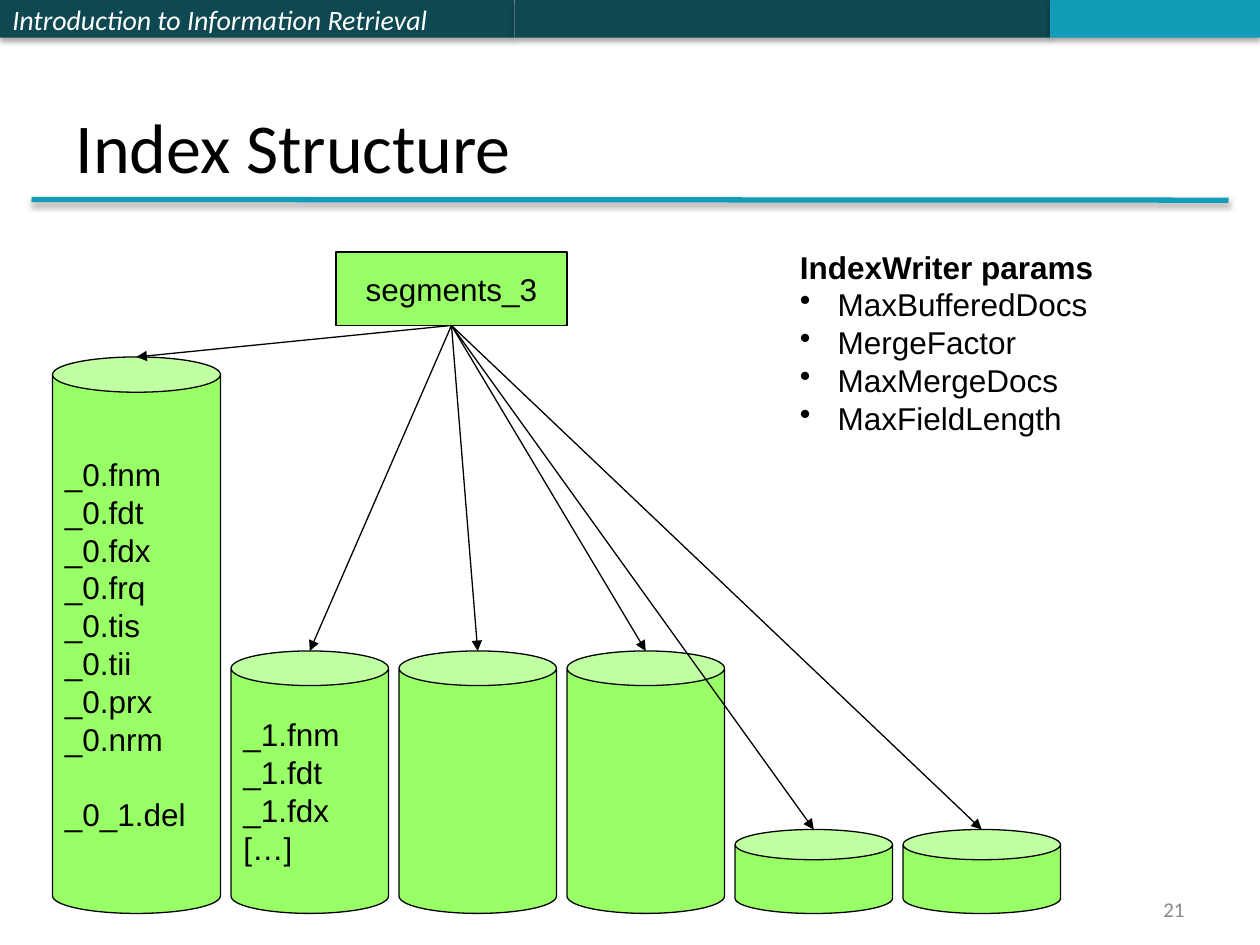
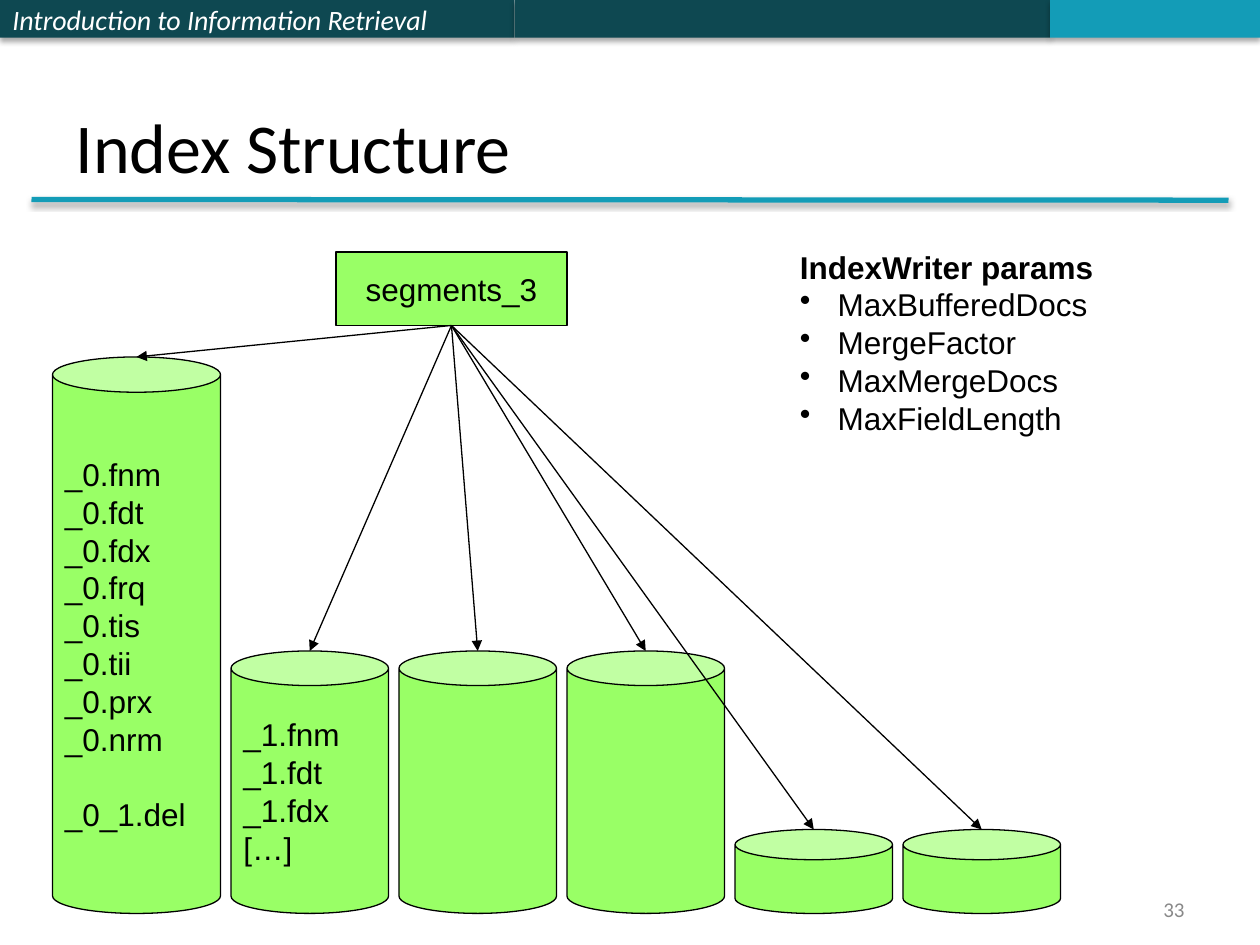
from lxml import etree
from pptx import Presentation
from pptx.dml.color import RGBColor
from pptx.enum import shapes, text
from pptx.oxml import ns
from pptx.util import Pt

BLACK = RGBColor(0x00, 0x00, 0x00)
WHITE = RGBColor(0xFF, 0xFF, 0xFF)
GREY = RGBColor(0x89, 0x89, 0x89)
DARK_TEAL = RGBColor(0x0E, 0x48, 0x51)
TEAL = RGBColor(0x13, 0x9C, 0xB7)
GREEN = RGBColor(0x99, 0xFF, 0x66)

COURSE = "Introduction to Information Retrieval"
BANDS = [(0, 294, DARK_TEAL, COURSE), (294, 306, DARK_TEAL, ""), (600, 120, TEAL, "")]
FIRST_FILES = ["_0.fnm", "_0.fdt", "_0.fdx", "_0.frq", "_0.tis", "_0.tii",
               "_0.prx", "_0.nrm", "_0_1.del"]
SECOND_FILES = ["_1.fnm", "_1.fdt", "_1.fdx", "[…]"]
SEGMENTS = [(30, 204, 96, 0.21, FIRST_FILES), (132, 372, 90, 0.22, SECOND_FILES),
            (228, 372, 90, 0.22, []), (324, 372, 90, 0.22, []),
            (420, 474, 90, 0.36, []), (516, 474, 90, 0.36, [])]
SEGMENT_BOTTOM = 522
PARAMS = ["IndexWriter params", "MaxBufferedDocs", "MergeFactor", "MaxMergeDocs",
          "MaxFieldLength"]
LINE_HEIGHT = Pt(21.6)


def write(shape, lines, name, size, color, align=text.PP_ALIGN.LEFT):
    shape.text_frame.text = "\n".join(lines)
    for paragraph in shape.text_frame.paragraphs:
        paragraph.alignment = align
        paragraph.font.name = name
        paragraph.font.size = Pt(size)
        paragraph.font.color.rgb = color
        if name == "Arial":
            paragraph.line_spacing = LINE_HEIGHT
    return shape.text_frame


def set_shadow(shape, alpha=0):
    properties = shape._element.spPr
    for effects in properties.findall(ns.qn("a:effectLst")):
        properties.remove(effects)
    effects = etree.SubElement(properties, ns.qn("a:effectLst"))
    if alpha:
        shadow = etree.SubElement(effects, ns.qn("a:outerShdw"), blurRad=str(Pt(3.1)),
                                  dist=str(Pt(1.8)), dir="5400000", rotWithShape="0")
        color = etree.SubElement(shadow, ns.qn("a:srgbClr"), val=str(BLACK))
        etree.SubElement(color, ns.qn("a:alpha"), val=str(alpha * 1000))


presentation = Presentation()
presentation.slide_width = Pt(720)
presentation.slide_height = Pt(540)

for page in (21, 33):
    slide = presentation.slides.add_slide(presentation.slide_layouts[5])

    for left, width, color, label in BANDS:
        band = slide.shapes.add_shape(shapes.MSO_SHAPE.RECTANGLE, Pt(left), 0, Pt(width), Pt(21.6))
        band.fill.solid()
        band.fill.fore_color.rgb = color
        band.line.fill.background()
        set_shadow(band, 35)
        if label:
            frame = write(band, [label], "Calibri", 16, WHITE)
            frame.margin_top = frame.margin_bottom = 0
            frame.vertical_anchor = text.MSO_ANCHOR.MIDDLE
            frame.paragraphs[0].font.italic = True

    rule = slide.shapes.add_connector(shapes.MSO_CONNECTOR.STRAIGHT,
                                      Pt(18), Pt(114), Pt(702), Pt(114.4))
    rule.line.color.rgb = TEAL
    rule.line.width = Pt(3)
    set_shadow(rule, 38)

    title = slide.shapes.title
    title.left, title.top, title.width, title.height = Pt(36), Pt(55.4), Pt(648), Pt(55.4)
    frame = write(title, ["Index Structure"], "Calibri", 40, BLACK)
    frame.vertical_anchor = text.MSO_ANCHOR.BOTTOM

    for left, top, width, depth, files in SEGMENTS:
        segment = slide.shapes.add_shape(shapes.MSO_SHAPE.CAN, Pt(left), Pt(top), Pt(width),
                                         Pt(SEGMENT_BOTTOM - top))
        segment.adjustments[0] = depth
        segment.fill.solid()
        segment.fill.fore_color.rgb = GREEN
        segment.line.color.rgb = BLACK
        segment.line.width = Pt(0.75)
        set_shadow(segment)
        if files:
            frame = write(segment, files, "Arial", 18, BLACK)
            frame.word_wrap = False
            frame.vertical_anchor = text.MSO_ANCHOR.MIDDLE
        if files is FIRST_FILES:
            frame.paragraphs[-1].space_before = LINE_HEIGHT

    root = slide.shapes.add_shape(shapes.MSO_SHAPE.RECTANGLE, Pt(192), Pt(144), Pt(132), Pt(42))
    root.fill.solid()
    root.fill.fore_color.rgb = GREEN
    root.line.color.rgb = BLACK
    root.line.width = Pt(0.75)
    set_shadow(root)
    frame = write(root, ["segments_3"], "Arial", 18, BLACK, text.PP_ALIGN.CENTER)
    frame.word_wrap = False
    frame.vertical_anchor = text.MSO_ANCHOR.MIDDLE

    for left, top, width, depth, files in SEGMENTS:
        arrow = slide.shapes.add_connector(shapes.MSO_CONNECTOR.STRAIGHT, Pt(258), Pt(186),
                                           Pt(left + width / 2), Pt(top))
        arrow.line.color.rgb = BLACK
        arrow.line.width = Pt(0.75)
        etree.SubElement(arrow.line._get_or_add_ln(), ns.qn("a:tailEnd"), type="triangle")
        set_shadow(arrow)

    params = slide.shapes.add_textbox(Pt(450), Pt(138), Pt(198), Pt(159))
    frame = write(params, PARAMS, "Arial", 18, BLACK)
    frame.word_wrap = True
    frame.paragraphs[0].font.bold = True
    for paragraph in frame.paragraphs[1:]:
        properties = paragraph._p.get_or_add_pPr()
        properties.set("marL", str(Pt(21.6)))
        properties.set("indent", str(-Pt(21.6)))
        bullet = etree.Element(ns.qn("a:buChar"), char="•")
        properties.find(ns.qn("a:defRPr")).addprevious(bullet)

    number = slide.shapes.add_textbox(Pt(516), Pt(510), Pt(168), Pt(19.5))
    frame = write(number, [str(page)], "Calibri", 12, GREY, text.PP_ALIGN.RIGHT)
    frame.word_wrap = True
    frame.vertical_anchor = text.MSO_ANCHOR.MIDDLE

presentation.save("out.pptx")
